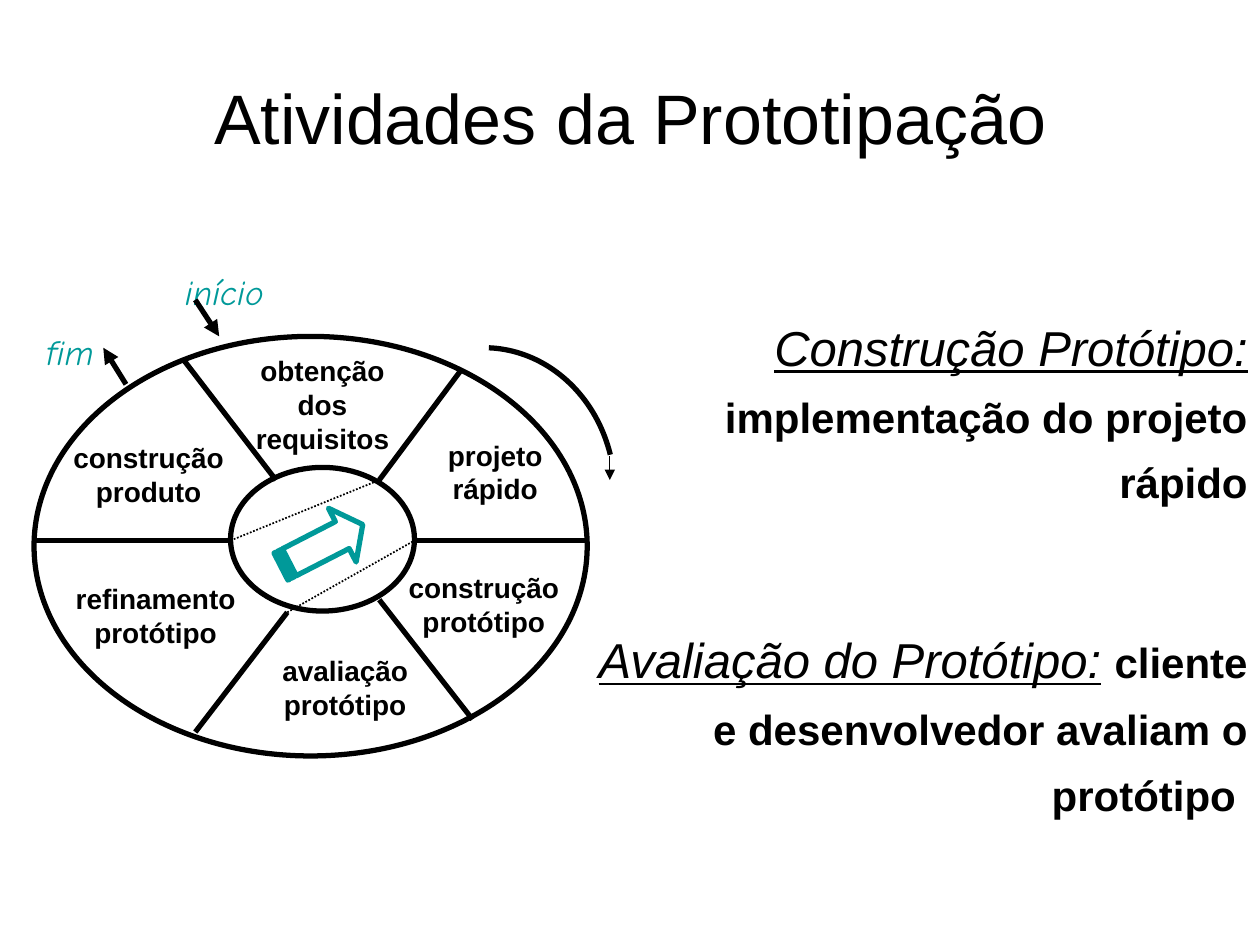
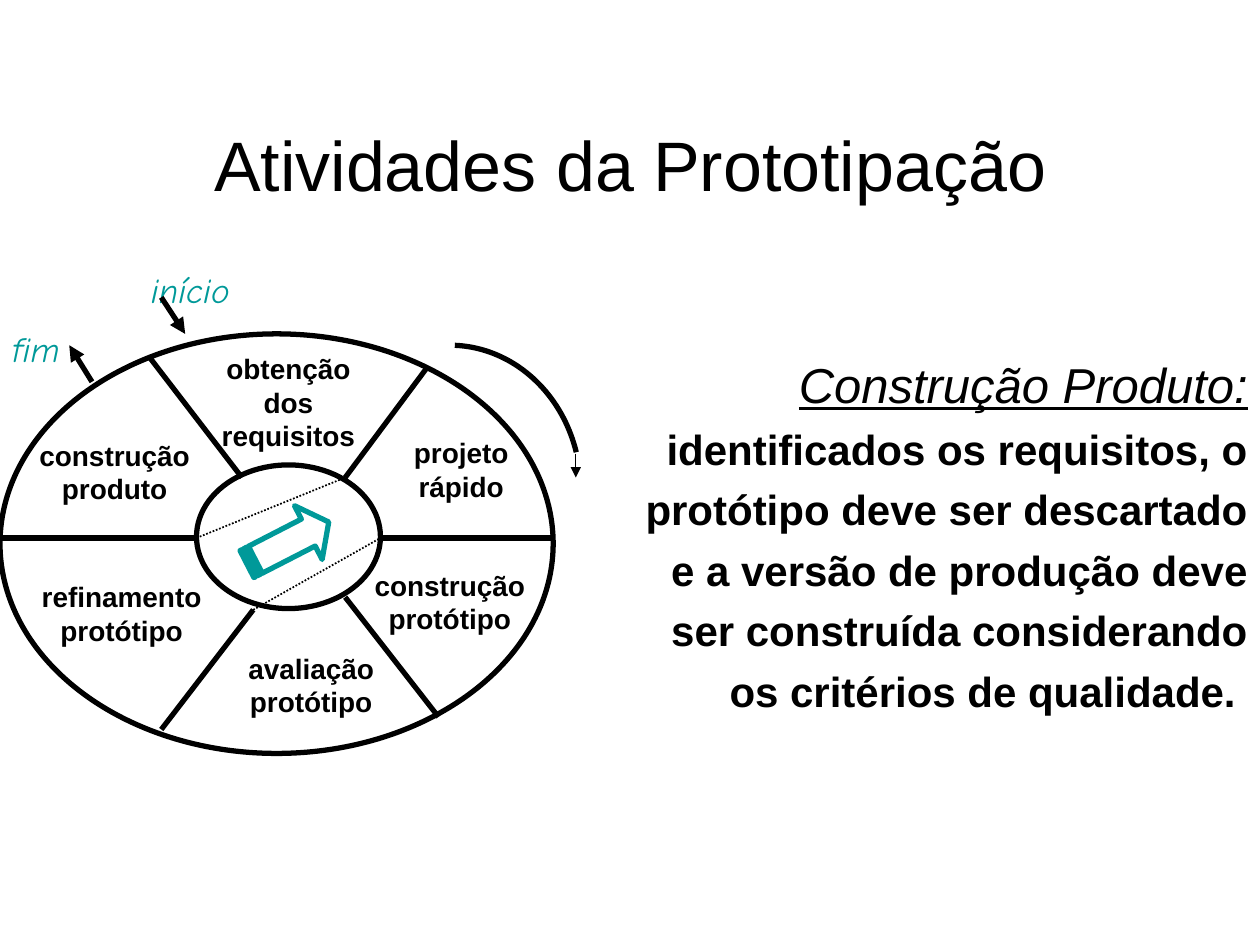
from lxml import etree
from pptx import Presentation
from pptx.dml.color import RGBColor
from pptx.enum import dml, shapes, text
from pptx.oxml import ns
from pptx.util import Inches, Pt

BLACK = "000000"
TEAL = "009999"
FONT = "Arial"
SCRIPT_FONT = "Comic Neue"
TITLE = "Atividades da Prototipação"
LEFT, CENTER, RIGHT = text.PP_ALIGN.LEFT, text.PP_ALIGN.CENTER, text.PP_ALIGN.RIGHT

ENDPOINT_LABELS = [("fim", 0.27, 2.57), ("início", 1.37, 2.1)]
ACTIVITIES = [
    ("construção produto", 0.36, 3.45, 1.64, 0.76),
    ("refinamento protótipo", 0.46, 4.57, 1.55, 0.76),
    ("avaliação protótipo", 2.01, 5.14, 1.46, 0.76),
    ("construção protótipo", 3.11, 4.48, 1.46, 0.76),
    ("projeto rápido", 3.29, 3.43, 1.28, 0.76),
    ("obtenção dos requisitos", 1.83, 2.76, 1.46, 0.95),
]
RINGS = [(0.27, 2.67, 4.39, 3.33), (1.83, 3.71, 1.46, 1.14)]
SPOKES = [
    (1.46, 2.86, 2.19, 3.81),
    (3.65, 2.95, 3.01, 3.81),
    (3.29, 4.29, 4.66, 4.29),
    (3.01, 4.76, 3.75, 5.71),
    (2.28, 4.86, 1.55, 5.81),
    (1.83, 4.29, 0.27, 4.29),
]
DOTTED_LINES = [(1.83, 4.29, 3.01, 3.81), (2.28, 4.86, 3.29, 4.29)]
ENDPOINT_ARROWS = [(1, 3.05, 0.82, 2.76), (1.55, 2.38, 1.74, 2.67)]


def rgb(color):
    return RGBColor.from_string(color)


def add_run(paragraph, words, size, font=FONT, color=BLACK, bold=False, italic=False, underline=False):
    run = paragraph.add_run()
    run.text = words
    run.font.name = font
    run.font.size = Pt(size)
    run.font.color.rgb = rgb(color)
    run.font.bold = bold
    run.font.italic = italic
    run.font.underline = underline


def add_text_box(container, left, top, width, height):
    box = container.add_textbox(Inches(left), Inches(top), Inches(width), Inches(height))
    box.text_frame.word_wrap = True
    return box.text_frame


def add_label(container, words, box, alignment, size, **style):
    paragraph = add_text_box(container, *box).paragraphs[0]
    paragraph.alignment = alignment
    add_run(paragraph, words, size, **style)


def add_outline(container, kind, box, color=BLACK):
    shape = container.add_shape(kind, *map(Inches, box))
    shape.shadow.inherit = False
    shape.fill.background()
    shape.line.color.rgb = rgb(color)
    shape.line.width = Pt(3)
    return shape


def add_line(container, ends, width=3, dash=None, arrow=False):
    connector = container.add_connector(shapes.MSO_CONNECTOR.STRAIGHT, *map(Inches, ends))
    connector.line.color.rgb = rgb(BLACK)
    connector.line.width = Pt(width)
    if dash is not None:
        connector.line.dash_style = dash
    properties = connector._element.spPr
    if arrow:
        outline = properties.find(ns.qn("a:ln"))
        etree.SubElement(outline, ns.qn("a:tailEnd"), type="triangle")
    etree.SubElement(properties, ns.qn("a:effectLst"))


def add_title(slide, left, top, width, height):
    title = slide.shapes.title
    title.left, title.top = Inches(left), Inches(top)
    title.width, title.height = Inches(width), Inches(height)
    frame = title.text_frame
    frame.auto_size = text.MSO_AUTO_SIZE.NONE
    frame.vertical_anchor = text.MSO_ANCHOR.MIDDLE
    paragraph = frame.paragraphs[0]
    paragraph.alignment = CENTER
    add_run(paragraph, TITLE, 40)


def add_descriptions(slide, box, descriptions, line_spacing, gap=6):
    frame = add_text_box(slide.shapes, *box)
    for index, (activity, explanation) in enumerate(descriptions):
        paragraph = frame.add_paragraph() if index else frame.paragraphs[0]
        paragraph.alignment = RIGHT
        paragraph.line_spacing = line_spacing
        paragraph.space_before = Pt(gap if index else 6)
        paragraph.space_after = Pt(3)
        properties = paragraph._p.get_or_add_pPr()
        properties.set("marL", str(Inches(0.38)))
        properties.set("indent", str(-Inches(0.38)))
        add_run(paragraph, activity, 28, italic=True, underline=True)
        add_run(paragraph, " ", 28)
        add_run(paragraph, explanation, 24, bold=True)


def add_wheel(slide, dx=0, dy=0):
    wheel = slide.shapes.add_group_shape().shapes

    def place(left, top, width, height):
        return left + dx, top + dy, width, height

    def move(x1, y1, x2, y2):
        return x1 + dx, y1 + dy, x2 + dx, y2 + dy

    for words, left, top in ENDPOINT_LABELS:
        add_label(wheel, words, place(left, top, 1, 0.48), LEFT, 20,
                  font=SCRIPT_FONT, color=TEAL, italic=True)
    for words, *box in ACTIVITIES:
        add_label(wheel, words, place(*box), CENTER, 16, bold=True)
    for ring in RINGS:
        add_outline(wheel, shapes.MSO_SHAPE.OVAL, place(*ring))
    for spoke in SPOKES:
        add_line(wheel, move(*spoke))

    direction = add_outline(wheel, shapes.MSO_SHAPE.STRIPED_RIGHT_ARROW, place(2.19, 4.09, 0.73, 0.48), TEAL)
    direction.adjustments[1] = 0.38
    direction.rotation = 332.8

    for dotted_line in DOTTED_LINES:
        add_line(wheel, move(*dotted_line), 1, dml.MSO_LINE.ROUND_DOT)
    for endpoint_arrow in ENDPOINT_ARROWS:
        add_line(wheel, move(*endpoint_arrow), arrow=True)

    turn = add_outline(wheel, shapes.MSO_SHAPE.ARC, place(2.8, 2.76, 2.08, 2.3))
    turn.adjustments[0] = 163.2
    turn.adjustments[1] = 206
    add_line(wheel, move(4.84, 3.62, 4.84, 3.81), 0.75, arrow=True)


def main():
    presentation = Presentation()
    presentation.slide_width, presentation.slide_height = Inches(10), Inches(7.5)
    title_only = presentation.slide_layouts[5]

    prototype = presentation.slides.add_slide(title_only)
    add_title(prototype, 0.5, 0.3, 9, 1.25)
    add_descriptions(prototype, (4.58, 2.33, 5.42, 4.42), [
        ("Construção Protótipo:", "implementação do projeto rápido"),
        ("Avaliação do Protótipo:", "cliente e desenvolvedor avaliam o protótipo "),
    ], 1.3, gap=57)
    add_wheel(prototype)

    product = presentation.slides.add_slide(title_only)
    add_title(product, 0.75, 0.67, 8.5, 1.25)
    add_descriptions(product, (4.42, 2.67, 5.58, 3.75), [
        ("Construção Produto:",
         "identificados os requisitos, o protótipo deve ser descartado e a versão de produção "
         "deve ser construída considerando os critérios de qualidade. "),
    ], 1.2)
    add_wheel(product, -0.27, -0.02)

    presentation.save("out.pptx")


if __name__ == "__main__":
    main()
